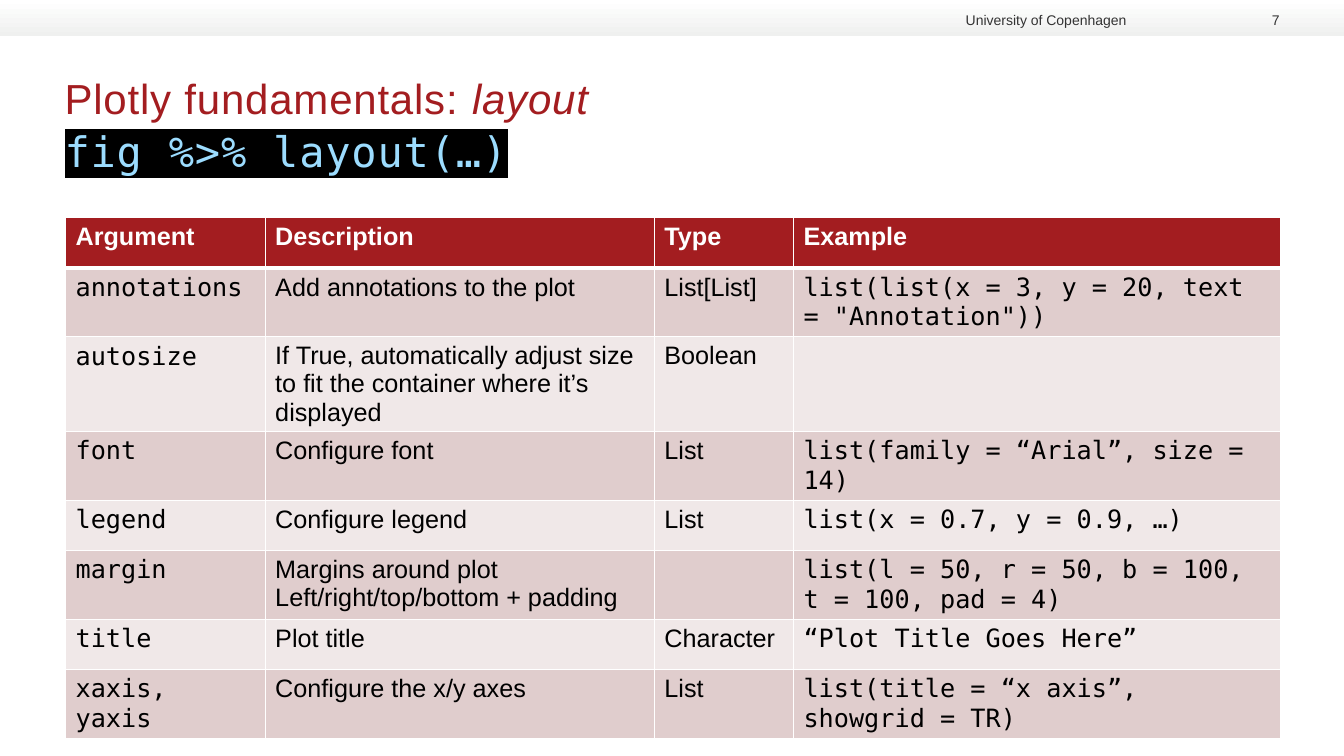
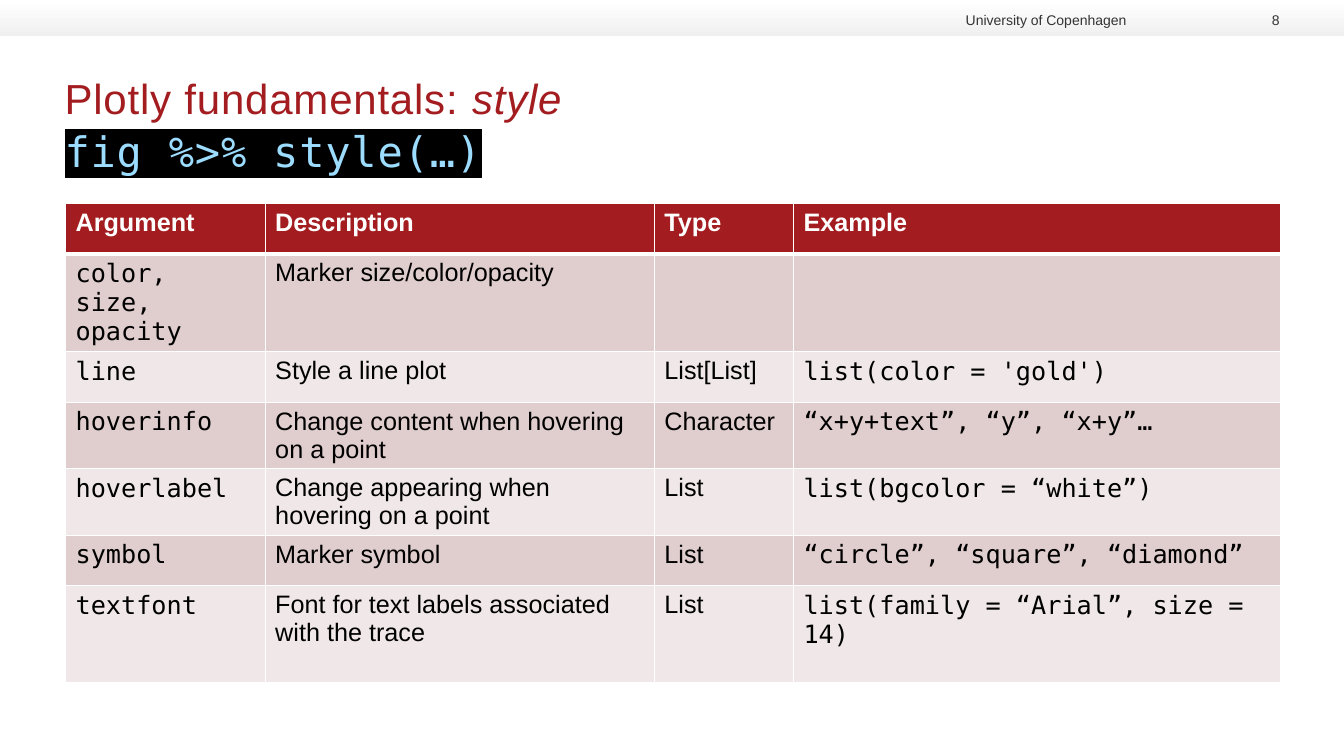
from lxml.etree import SubElement
from pptx import Presentation
from pptx.dml.color import RGBColor
from pptx.enum.shapes import MSO_SHAPE
from pptx.enum.text import MSO_ANCHOR, MSO_AUTO_SIZE, PP_ALIGN
from pptx.oxml.ns import qn
from pptx.util import Inches, Pt

# Shared look
RED = RGBColor(0xA3, 0x1D, 0x20)
WHITE = RGBColor(0xFF, 0xFF, 0xFF)
BLACK = RGBColor(0x00, 0x00, 0x00)
GREY = RGBColor(0x33, 0x33, 0x33)
BAND_END = RGBColor(0xEF, 0xF0, 0xEF)
CODE_BLUE = RGBColor(0x9C, 0xDC, 0xFE)
ROW_FILLS = [RGBColor(0xF0, 0xE8, 0xE8), RGBColor(0xE0, 0xCD, 0xCD)]
SANS, MONO = "Arial", "DejaVu Sans Mono"
WIDTH, HEIGHT = 13.33, 7.5
MARGIN = 0.64
COLUMNS = [1.98, 3.86, 1.38, 4.83]
COLUMN_FONTS = [MONO, SANS, SANS, MONO]
ROW_HEIGHT = 0.5

# Content
FOOTER = "University of Copenhagen"
FIRST_NUMBER = 7
HEADINGS = ("Argument", "Description", "Type", "Example")
SLIDES = [
    {
        "function": "layout", "top": 2.16, "last_row": ROW_HEIGHT,
        "rows": [
            ("annotations", "Add annotations to the plot", "List[List]",
             'list(list(x = 3, y = 20, text = "Annotation"))'),
            ("autosize", "If True, automatically adjust size to fit the container "
             "where it’s displayed", "Boolean", ""),
            ("font", "Configure font", "List", "list(family = “Arial”, size = 14)"),
            ("legend", "Configure legend", "List", "list(x = 0.7, y = 0.9, …)"),
            ("margin", "Margins around plot\nLeft/right/top/bottom + padding", "",
             "list(l = 50, r = 50, b = 100, t = 100, pad = 4)"),
            ("title", "Plot title", "Character", "“Plot Title Goes Here”"),
            ("xaxis, yaxis", "Configure the x/y axes", "List",
             "list(title = “x axis”, showgrid = TR)"),
        ],
    },
    {
        "function": "style", "top": 2.02, "last_row": 0.96,
        "rows": [
            ("color, size, opacity", "Marker size/color/opacity", "", ""),
            ("line", "Style a line plot", "List[List]", "list(color = 'gold')"),
            ("hoverinfo", "Change content when hovering on a point", "Character",
             "“x+y+text”, “y”, “x+y”…"),
            ("hoverlabel", "Change appearing when hovering on a point", "List",
             "list(bgcolor = “white”)"),
            ("symbol", "Marker symbol", "List", "“circle”, “square”, “diamond”"),
            ("textfont", "Font for text labels associated with the trace", "List",
             "list(family = “Arial”, size = 14)"),
        ],
    },
]


def add_text(p, text, font=SANS, size=18, color=BLACK, bold=False, italic=False,
             spacing=None, highlight=None):
    r = p.add_run()
    r.text = text
    f = r.font
    f.size, f.bold, f.italic = Pt(size), bold, italic
    f.color.rgb = color
    r_pr = r._r.get_or_add_rPr()
    if spacing:
        r_pr.set("spc", str(round(spacing * 100)))
    if highlight is not None:
        mark = SubElement(r_pr, qn("a:highlight"))
        SubElement(mark, qn("a:srgbClr"), val=str(highlight))
    f.name = font


def clear_insets(tf):
    tf.margin_left = tf.margin_right = tf.margin_top = tf.margin_bottom = 0


def set_borders(cell, bottom):
    tc_pr = cell._tc.get_or_add_tcPr()
    for side, width in (("L", 1), ("R", 1), ("T", 1), ("B", bottom)):
        ln = SubElement(tc_pr, qn(f"a:ln{side}"), w=str(Pt(width)))
        fill = SubElement(ln, qn("a:solidFill"))
        SubElement(fill, qn("a:srgbClr"), val=str(WHITE))


def style_template(layout, slide):
    """Put the top band on the master and the title's place on the layout."""
    band = slide.shapes.add_shape(MSO_SHAPE.RECTANGLE, 0, 0, Inches(WIDTH), Inches(0.36))
    band.shadow.inherit = False
    band.line.fill.background()
    band.fill.gradient()
    band.fill.gradient_angle = 270
    for stop, color in zip(band.fill.gradient_stops, (WHITE, BAND_END)):
        stop.color.rgb = color
    layout.slide_master.shapes.element.insert(2, band.element)

    title = layout.placeholders[0]
    title.left, title.top = Inches(MARGIN), Inches(0.68)
    title.width, title.height = Inches(WIDTH - 2 * MARGIN), Inches(0.94)
    tf = title.text_frame
    tf.vertical_anchor = MSO_ANCHOR.TOP
    tf.auto_size = MSO_AUTO_SIZE.NONE
    clear_insets(tf)


def add_title(slide, function):
    p = slide.shapes.title.text_frame.paragraphs[0]
    p.alignment = PP_ALIGN.LEFT
    p.line_spacing = 1.07
    look = {"size": 30, "spacing": 0.6}
    add_text(p, "Plotly fundamentals: ", color=RED, **look)
    add_text(p, function, color=RED, italic=True, **look)
    p.add_line_break()
    add_text(p, f"fig %>% {function}(…)", font=MONO, color=CODE_BLUE,
             highlight=BLACK, **look)


def add_header_text(slide, text, left, width):
    tf = slide.shapes.add_textbox(Inches(left), Inches(0.09), Inches(width),
                                  Inches(0.19)).text_frame
    tf.word_wrap = True
    tf.vertical_anchor = MSO_ANCHOR.BOTTOM
    clear_insets(tf)
    p = tf.paragraphs[0]
    p.alignment = PP_ALIGN.RIGHT
    add_text(p, text, size=10, color=GREY)


def add_arguments(slide, rows, top, last_row):
    rows = [HEADINGS, *rows]
    table = slide.shapes.add_table(
        len(rows), len(COLUMNS), Inches(MARGIN + 0.01), Inches(top),
        Inches(sum(COLUMNS)), Inches(ROW_HEIGHT * len(rows))).table
    for column, width in zip(table.columns, COLUMNS):
        column.width = Inches(width)
    table.rows[len(rows) - 1].height = Inches(last_row)
    for i, row in enumerate(rows):
        header = i == 0
        for j, text in enumerate(row):
            cell = table.cell(i, j)
            set_borders(cell, bottom=3 if header else 1)
            cell.fill.solid()
            cell.fill.fore_color.rgb = RED if header else ROW_FILLS[i % 2]
            tf = cell.text_frame
            for k, line in enumerate(text.split("\n") if text else []):
                p = tf.add_paragraph() if k else tf.paragraphs[0]
                add_text(p, line, font=SANS if header else COLUMN_FONTS[j],
                         color=WHITE if header else BLACK, bold=header)


def main():
    prs = Presentation()
    prs.slide_width, prs.slide_height = Inches(WIDTH), Inches(HEIGHT)
    layout = prs.slide_layouts.get_by_name("Title Only")
    for number, content in enumerate(SLIDES, FIRST_NUMBER):
        slide = prs.slides.add_slide(layout)
        if number == FIRST_NUMBER:
            style_template(layout, slide)
        add_title(slide, content["function"])
        add_arguments(slide, content["rows"], content["top"], content["last_row"])
        add_header_text(slide, FOOTER, 3.54, 7.63)
        add_header_text(slide, str(number), 12.27, 0.42)
    prs.save("out.pptx")


if __name__ == "__main__":
    main()
